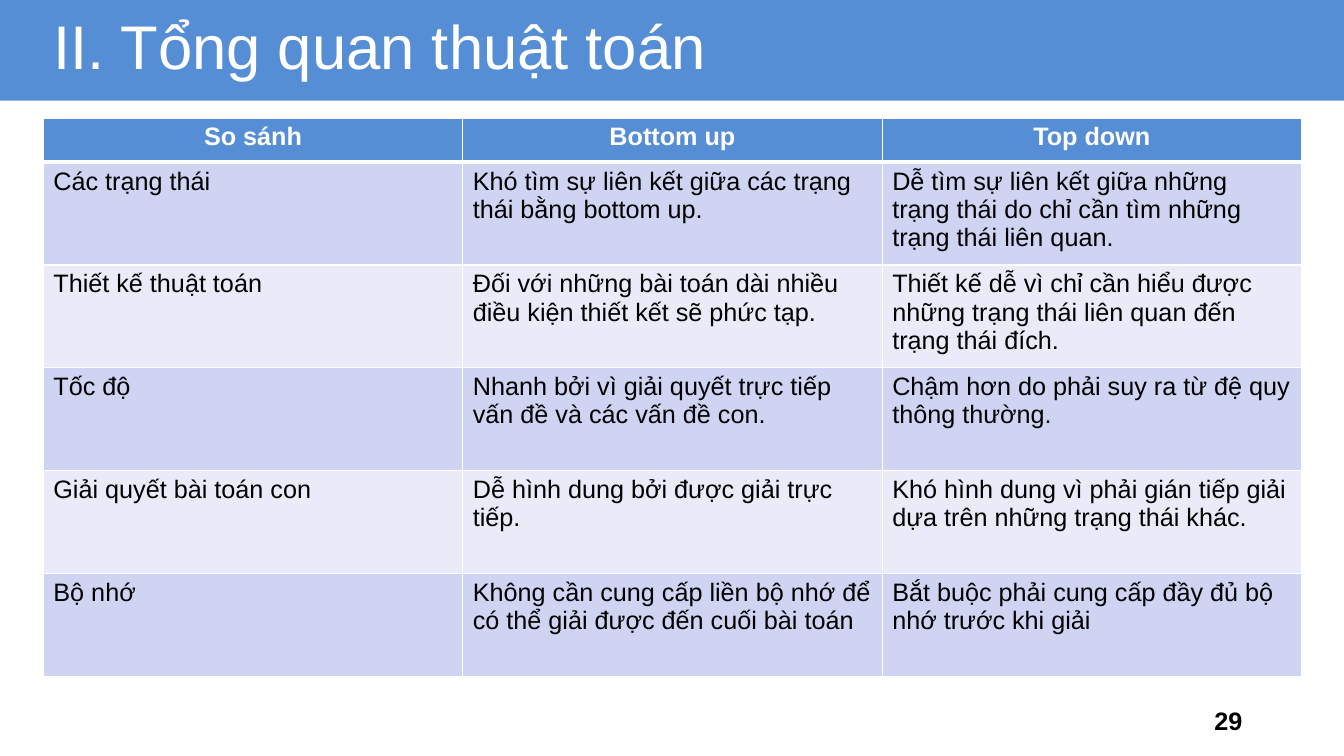
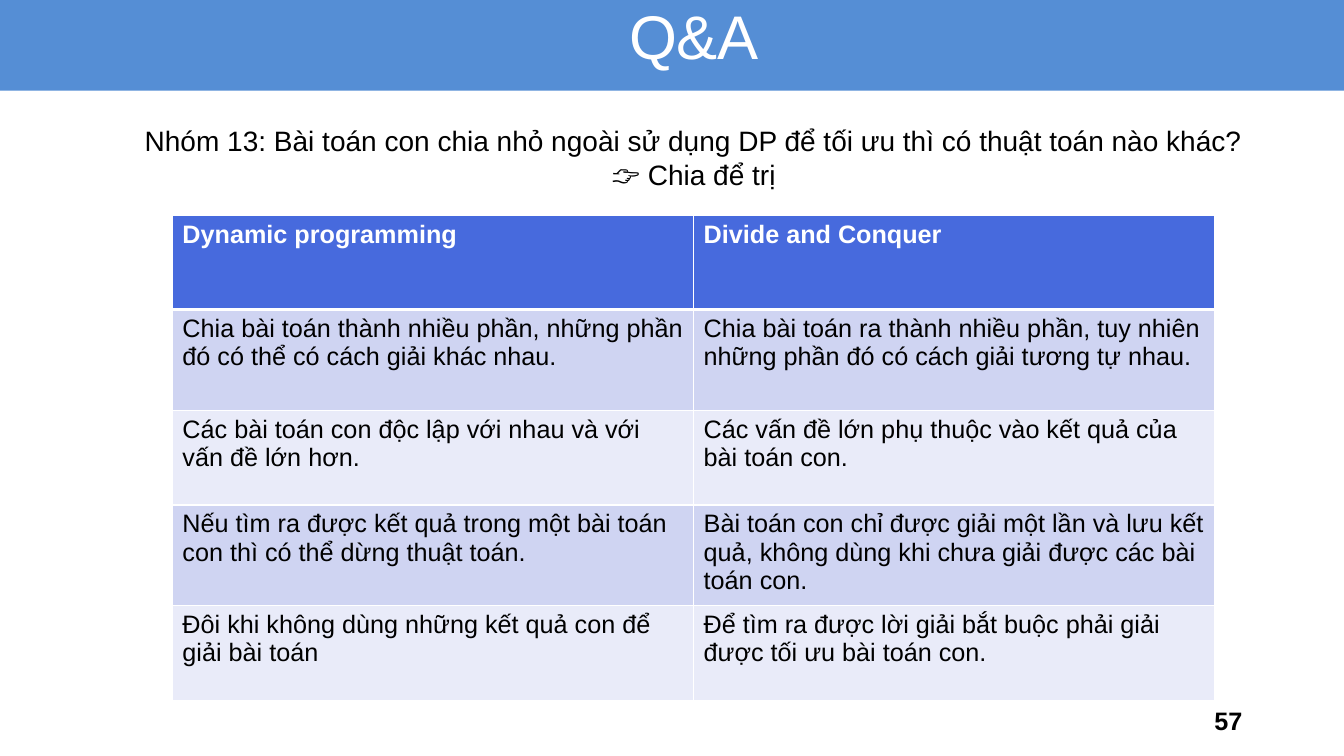
from lxml import etree
from pptx import Presentation
from pptx.dml.color import RGBColor
from pptx.enum.shapes import MSO_SHAPE
from pptx.enum.text import MSO_ANCHOR, PP_ALIGN
from pptx.oxml.ns import qn
from pptx.util import Inches, Pt

RECTANGLE = MSO_SHAPE.RECTANGLE
TOP, MIDDLE = MSO_ANCHOR.TOP, MSO_ANCHOR.MIDDLE
LEFT, CENTER, RIGHT = PP_ALIGN.LEFT, PP_ALIGN.CENTER, PP_ALIGN.RIGHT

FONT = "Arial"
WHITE, BLACK = "FFFFFF", "000000"
BAND_BLUE, HEADER_BLUE = "558ED5", "476ADD"
ROW_FILLS = ["CFD4F2", "E9EBF9"]

comparison = [
    ["So sánh", "Bottom up", "Top down"],
    ["Các trạng thái",
     "Khó tìm sự liên kết giữa các trạng thái bằng bottom up.",
     "Dễ tìm sự liên kết giữa những trạng thái do chỉ cần tìm những trạng thái liên quan."],
    ["Thiết kế thuật toán",
     "Đối với những bài toán dài nhiều điều kiện thiết kết sẽ phức tạp.",
     "Thiết kế dễ vì chỉ cần hiểu được những trạng thái liên quan đến trạng thái đích."],
    ["Tốc độ",
     "Nhanh bởi vì giải quyết trực tiếp vấn đề và các vấn đề con.",
     "Chậm hơn do phải suy ra từ đệ quy thông thường."],
    ["Giải quyết bài toán con",
     "Dễ hình dung bởi được giải trực tiếp.",
     "Khó hình dung vì phải gián tiếp giải dựa trên những trạng thái khác."],
    ["Bộ nhớ",
     "Không cần cung cấp liền bộ nhớ để có thể giải được đến cuối bài toán",
     "Bắt buộc phải cung cấp đầy đủ bộ nhớ trước khi giải"],
]
methods = [
    ["Dynamic programming", "Divide and Conquer"],
    ["Chia bài toán thành nhiều phần, những phần đó có thể có cách giải khác nhau.",
     "Chia bài toán ra thành nhiều phần, tuy nhiên những phần đó có cách giải tương tự nhau."],
    ["Các bài toán con độc lập với nhau và với vấn đề lớn hơn.",
     "Các vấn đề lớn phụ thuộc vào kết quả của bài toán con."],
    ["Nếu tìm ra được kết quả trong một bài toán con thì có thể dừng thuật toán.",
     "Bài toán con chỉ được giải một lần và lưu kết quả, "
     "không dùng khi chưa giải được các bài toán con."],
    ["Đôi khi không dùng những kết quả con để giải bài toán",
     "Để tìm ra được lời giải bắt buộc phải giải được tối ưu bài toán con."],
]
question = ("Nhóm 13: Bài toán con chia nhỏ ngoài sử dụng DP để tối ưu "
            "thì có thuật toán nào khác?\n👉 Chia để trị")

slides = [
    {"title": "II. Tổng quan thuật toán", "title_align": LEFT, "band_top": 0,
     "number": "29", "question": None, "rows": comparison,
     "table_at": (0.43, 1.17), "column_width": 4.16,
     "row_heights": [0.44] + [1.02] * 5,
     "header_fill": BAND_BLUE, "header_align": CENTER},
    {"title": "Q&A", "title_align": CENTER, "band_top": -0.1,
     "number": "57", "question": question, "rows": methods,
     "table_at": (1.71, 2.14), "column_width": 5.17,
     "row_heights": [0.93, 1, 0.94, 1, 0.94],
     "header_fill": HEADER_BLUE, "header_align": LEFT},
]


def paint(fill, color):
    fill.solid()
    fill.fore_color.rgb = RGBColor.from_string(color)


def write(frame, text, size, color, align=LEFT, bold=False, anchor=TOP, spacing=1.0):
    frame.text = text
    frame.word_wrap = True
    frame.vertical_anchor = anchor
    for paragraph in frame.paragraphs:
        paragraph.alignment = align
        paragraph.line_spacing = spacing
        for span in paragraph.runs:
            span.font.name = FONT
            span.font.size = Pt(size)
            span.font.bold = bold
            paint(span.font.fill, color)


deck = Presentation()
deck.slide_width, deck.slide_height = Inches(13.33), Inches(7.5)

for content in slides:
    page = deck.slides.add_slide(deck.slide_layouts[6])
    band_top = content["band_top"]

    band = page.shapes.add_shape(RECTANGLE, 0, Inches(band_top), deck.slide_width, Inches(1))
    band.shadow.inherit = False
    paint(band.fill, BAND_BLUE)
    band.line.fill.background()

    title = page.shapes.add_textbox(
        Inches(0.43), Inches(band_top), Inches(12.91), Inches(0.98))
    write(title.text_frame, content["title"], 44, WHITE,
          content["title_align"], anchor=MIDDLE, spacing=0.9)

    number = page.shapes.add_textbox(Inches(9.42), Inches(6.95), Inches(3), Inches(0.4))
    write(number.text_frame, content["number"], 18, BLACK, RIGHT, bold=True, anchor=MIDDLE)

    if content["question"]:
        box = page.shapes.add_textbox(Inches(1.3), Inches(1.18), Inches(11.16), Inches(0.77))
        write(box.text_frame, content["question"], 20, BLACK, CENTER)
        box.text_frame.word_wrap = False

    rows, heights = content["rows"], content["row_heights"]
    column_count = len(rows[0])
    left, top = content["table_at"]
    table = page.shapes.add_table(
        len(rows), column_count, Inches(left), Inches(top),
        Inches(content["column_width"] * column_count), Inches(sum(heights))).table
    table.horz_banding = False
    for column in table.columns:
        column.width = Inches(content["column_width"])

    for row_index, texts in enumerate(rows):
        table.rows[row_index].height = Inches(heights[row_index])
        is_header = row_index == 0
        fill = content["header_fill"] if is_header else ROW_FILLS[(row_index - 1) % 2]
        for column_index, text in enumerate(texts):
            cell = table.cell(row_index, column_index)
            write(cell.text_frame, text, 18, WHITE if is_header else BLACK,
                  content["header_align"] if is_header else LEFT, bold=is_header)
            paint(cell.fill, fill)
            properties = cell._tc.get_or_add_tcPr()
            for position, side in enumerate(["lnL", "lnR", "lnT", "lnB"]):
                thick = (is_header and side == "lnB") or (row_index == 1 and side == "lnT")
                border = etree.Element(qn("a:" + side), w=str(Pt(3 if thick else 1)))
                solid = etree.SubElement(border, qn("a:solidFill"))
                etree.SubElement(solid, qn("a:srgbClr"), val=WHITE)
                properties.insert(position, border)

deck.save("out.pptx")
